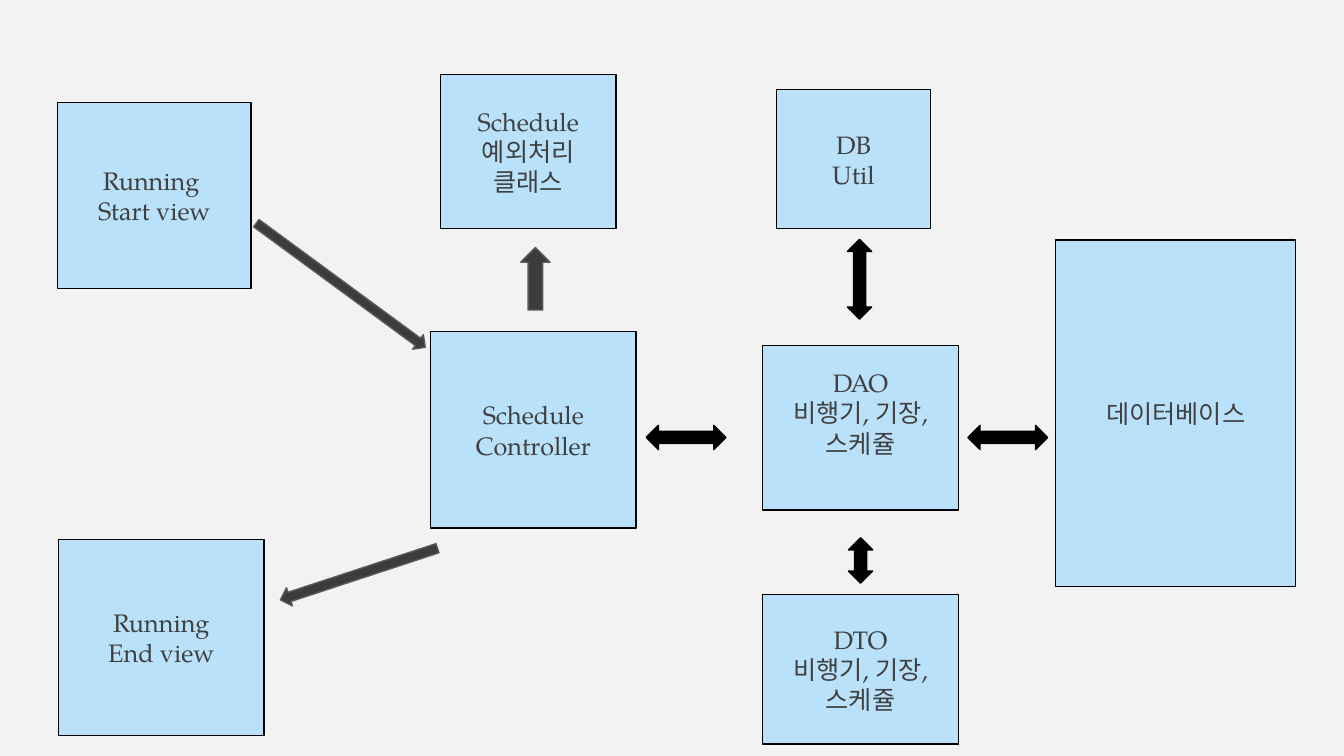
from pptx import Presentation
from pptx.dml.color import RGBColor
from pptx.enum.shapes import MSO_SHAPE
from pptx.enum.text import MSO_ANCHOR, PP_ALIGN
from pptx.util import Inches, Pt

RECTANGLE = MSO_SHAPE.RECTANGLE
RIGHT_ARROW = MSO_SHAPE.RIGHT_ARROW
DOUBLE_ARROW = MSO_SHAPE.LEFT_RIGHT_ARROW
MIDDLE = MSO_ANCHOR.MIDDLE
CENTER = PP_ALIGN.CENTER

FONT = "TeX Gyre Pagella"
BACKGROUND = "F2F2F2"
BOX_FILL = "B9E1FA"
TEXT_COLOR = "404040"
BLACK = "000000"
DARK_GRAY = "3C3C3C"
GRAY = "595959"

BOXES = [
    (10.47, 2.38, 2.38, 3.44, ["데이터베이스"], 0.05),
    (7.56, 5.9, 1.95, 1.48, ["DTO", "비행기, 기장, 스케쥴"], 0.05),
    (7.56, 3.43, 1.95, 1.63, ["DAO", "비행기, 기장, 스케쥴"], 0.35),
    (0.57, 1.02, 1.92, 1.84, ["Running ", "Start view"], 0.05),
    (0.58, 5.35, 2.04, 1.95, ["Running", "End view"], 0.05),
    (4.37, 0.74, 1.74, 1.53, ["Schedule 예외처리 클래스"], 0.05),
    (4.27, 3.29, 2.04, 1.95, ["Schedule", "Controller"], 0.05),
    (7.7, 0.89, 1.53, 1.38, ["DB", "Util"], 0.05),
]

ONE_WAY_ARROWS = [
    (2.34, 2.74, 2.08, 0.18, 36.3),
    (5, 2.62, 0.62, 0.29, 270),
    (2.74, 5.6, 1.64, 0.19, 161.8),
]

TWO_WAY_ARROWS = [
    (6.41, 4.22, 0.79, 0.24, 0),
    (9.6, 4.22, 0.79, 0.24, 0),
    (8.13, 2.65, 0.79, 0.24, 90),
    (8.31, 5.44, 0.45, 0.24, 90),
]


def color(value):
    return RGBColor.from_string(value)


def add_outlined_shape(page, kind, bounds, fill, line):
    shape = page.shapes.add_shape(kind, *map(Inches, bounds))
    shape.shadow.inherit = False
    shape.fill.solid()
    shape.fill.fore_color.rgb = color(fill)
    shape.line.color.rgb = color(line)
    shape.line.width = Pt(1)
    return shape


def add_box(page, left, top, width, height, lines, bottom_margin):
    box = add_outlined_shape(
        page, RECTANGLE, (left, top, width, height), BOX_FILL, BLACK
    )
    frame = box.text_frame
    frame.word_wrap = True
    frame.vertical_anchor = MIDDLE
    frame.margin_bottom = Inches(bottom_margin)
    frame.text = "\n".join(lines)
    for para in frame.paragraphs:
        para.alignment = CENTER
        para.font.name = FONT
        para.font.size = Pt(18)
        para.font.color.rgb = color(TEXT_COLOR)


def add_arrow(page, kind, left, top, width, height, angle, fill, line):
    arrow = add_outlined_shape(page, kind, (left, top, width, height), fill, line)
    arrow.rotation = angle


def main():
    deck = Presentation()
    deck.slide_width = Inches(13.33)
    deck.slide_height = Inches(7.5)
    page = deck.slides.add_slide(deck.slide_layouts[6])
    page.background.fill.solid()
    page.background.fill.fore_color.rgb = color(BACKGROUND)

    for box in BOXES:
        add_box(page, *box)
    for arrow in ONE_WAY_ARROWS:
        add_arrow(page, RIGHT_ARROW, *arrow, DARK_GRAY, GRAY)
    for arrow in TWO_WAY_ARROWS:
        add_arrow(page, DOUBLE_ARROW, *arrow, BLACK, BLACK)

    deck.save("out.pptx")


if __name__ == "__main__":
    main()
